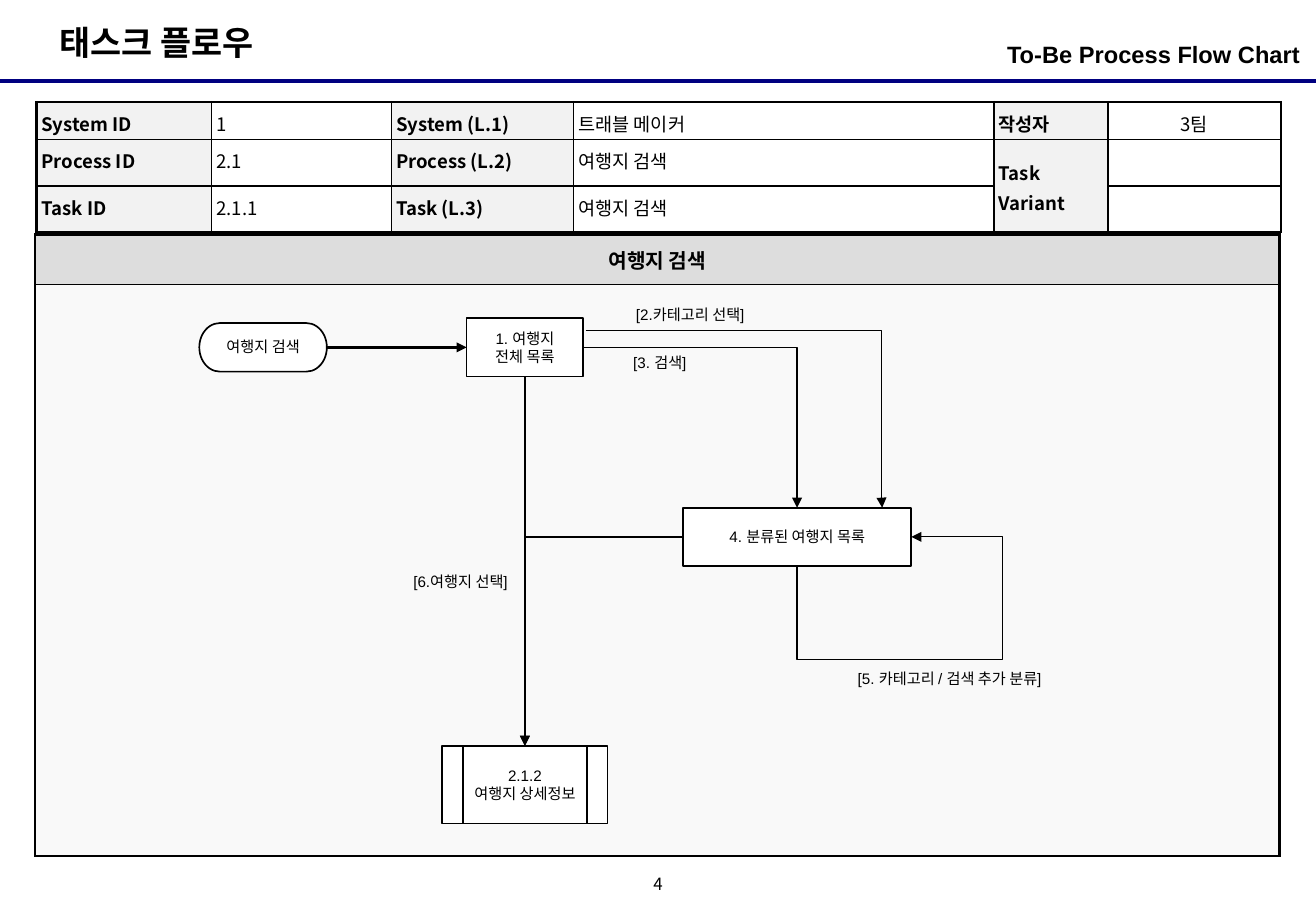
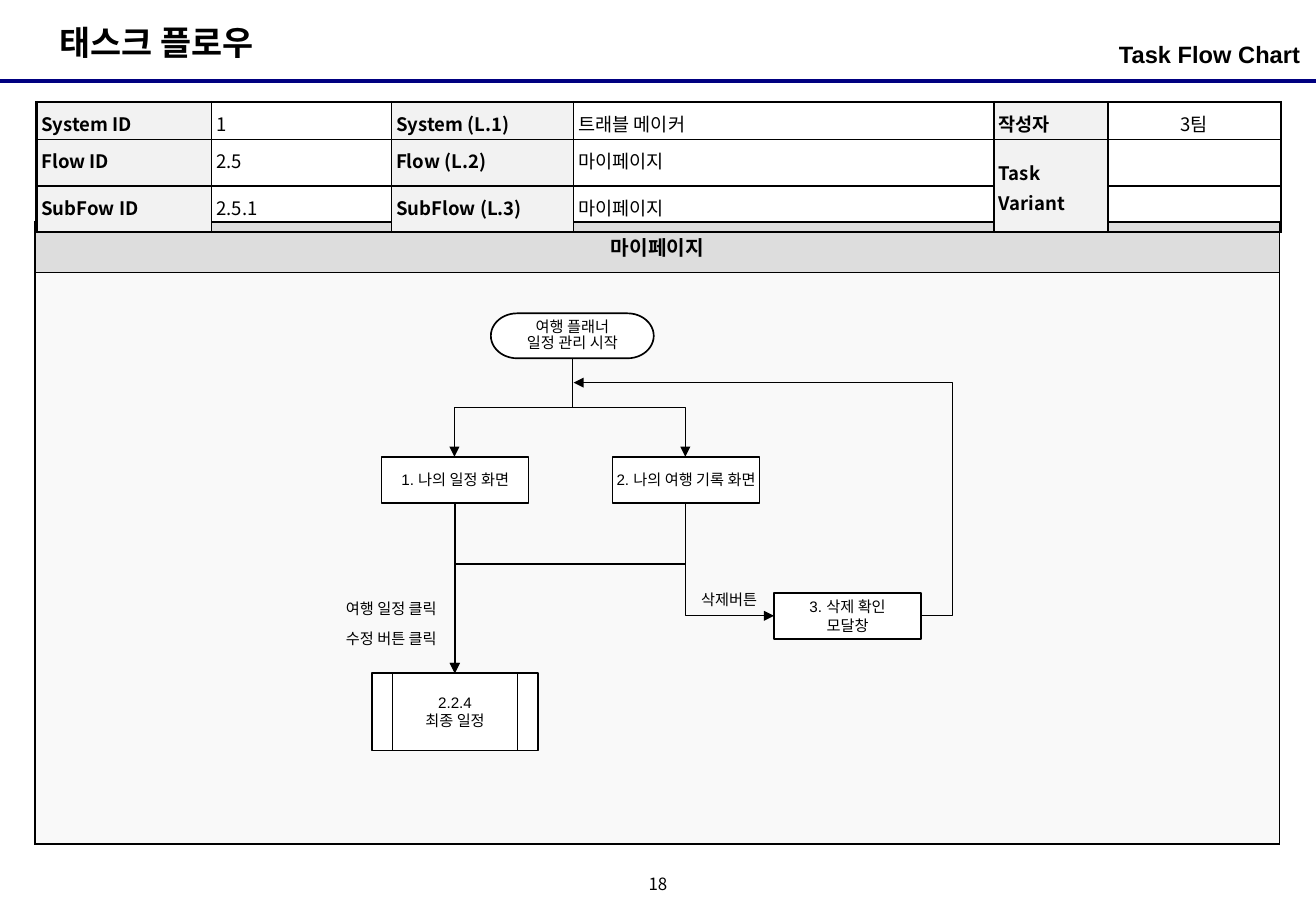
from lxml import etree
from pptx import Presentation
from pptx.dml.color import RGBColor
from pptx.enum.shapes import MSO_CONNECTOR, MSO_SHAPE
from pptx.enum.text import MSO_ANCHOR, MSO_AUTO_SIZE, PP_ALIGN
from pptx.oxml.ns import qn
from pptx.util import Inches, Pt

LEFT, CENTER, RIGHT = PP_ALIGN.LEFT, PP_ALIGN.CENTER, PP_ALIGN.RIGHT
TOP, MIDDLE = MSO_ANCHOR.TOP, MSO_ANCHOR.MIDDLE
STRAIGHT, ELBOW = MSO_CONNECTOR.STRAIGHT, MSO_CONNECTOR.ELBOW
RECT = MSO_SHAPE.RECTANGLE
TERMINATOR = MSO_SHAPE.FLOWCHART_TERMINATOR
PROCESS = MSO_SHAPE.FLOWCHART_PREDEFINED_PROCESS

BLACK, WHITE, NAVY = "000000", "FFFFFF", "000080"
LABEL_GREY, BAND_GREY, PANEL_GREY = "F2F2F2", "DDDDDD", "F9F9F9"
ARIAL, NOTO = "Arial", "Noto Sans CJK KR"
INFO_COLS = (1.44, 1.48, 1.5, 3.46, 0.94, 1.42)


def rgb(color):
    return RGBColor.from_string(color)


# ---- Text ----
def style_text(tf, size, font=ARIAL, bold=False, align=CENTER, anchor=MIDDLE,
               spacing=1.0):
    tf.vertical_anchor = anchor
    for p in tf.paragraphs:
        p.alignment = align
        p.line_spacing = spacing
        for r in p.runs:
            r.font.size = Pt(size)
            r.font.bold = bold
            r.font.color.rgb = rgb(BLACK)
            r.font.name = font
            ea = etree.SubElement(r.font._element, qn("a:ea"))
            ea.set("typeface", NOTO)


def set_margins(item, x, y):
    item.margin_left = item.margin_right = Inches(x)
    item.margin_top = item.margin_bottom = Inches(y)


def add_label(s, text, x, y, w, h=0.25, size=9, font=ARIAL, spacing=1.0):
    tf = s.shapes.add_textbox(Inches(x), Inches(y), Inches(w), Inches(h)).text_frame
    tf.word_wrap = True
    tf.text = text
    style_text(tf, size, font, spacing=spacing)


def fill_placeholder(sp, text, x, y, w, h, size, align, margin):
    sp.left, sp.top, sp.width, sp.height = (Inches(v) for v in (x, y, w, h))
    tf = sp.text_frame
    tf.text = text
    tf.auto_size = MSO_AUTO_SIZE.NONE
    set_margins(tf, margin, 0.05)
    style_text(tf, size, bold=True, align=align, anchor=TOP)
    p = tf.paragraphs[0]
    p.space_before = Pt(0)
    pPr = p._p.get_or_add_pPr()
    pPr.set("marL", "0")
    pPr.set("indent", "0")
    etree.SubElement(pPr, qn("a:buNone"))


# ---- Boxes and lines ----
def add_box(s, kind, text, x, y, w, h, spacing=1.0):
    sp = s.shapes.add_shape(kind, Inches(x), Inches(y), Inches(w), Inches(h))
    sp.shadow.inherit = False
    sp.fill.solid()
    sp.fill.fore_color.rgb = rgb(WHITE)
    sp.line.color.rgb = rgb(BLACK)
    sp.line.width = Pt(1)
    tf = sp.text_frame
    tf.word_wrap = True
    tf.text = text
    set_margins(tf, 0.02, 0)
    style_text(tf, 9, spacing=spacing)
    return sp


def add_line(s, start, end, kind=STRAIGHT, color=BLACK, width=0.75, arrow=True):
    c = s.shapes.add_connector(kind, *(Inches(v) for v in (*start, *end)))
    c.line.color.rgb = rgb(color)
    c.line.width = Pt(width)
    if arrow:
        etree.SubElement(c.line._get_or_add_ln(), qn("a:tailEnd")).set("type", "triangle")
    etree.SubElement(c._element.spPr, qn("a:effectLst"))
    return c


def join(s, a, a_side, b, b_side, width=0.75):
    c = add_line(s, (0, 0), (1, 1), width=width)
    c.begin_connect(a, a_side)
    c.end_connect(b, b_side)


def add_elbow(s, start, end, vertical=False, bends=2, adj=()):
    """Bent arrow; vertical tells whether it leaves its start up or down."""
    dx, dy = end[0] - start[0], end[1] - start[1]
    w, h, flip_v = abs(dx), abs(dy), False
    if vertical:
        w, h = h, w
        rot = 270 if dx > 0 else 90
        flip_h = (dy > 0) == (dx > 0)
    elif dx < 0 and dy < 0:
        rot, flip_h = 180, False
    else:
        rot, flip_h, flip_v = 0, dx < 0, dy < 0
    x, y = (start[0] + end[0] - w) / 2, (start[1] + end[1] - h) / 2
    xs = (x + w, x) if flip_h else (x, x + w)
    ys = (y + h, y) if flip_v else (y, y + h)
    c = add_line(s, (xs[0], ys[0]), (xs[1], ys[1]), ELBOW)
    spPr = c._element.spPr
    if rot:
        spPr.find(qn("a:xfrm")).set("rot", str(rot * 60000))
    geom = spPr.find(qn("a:prstGeom"))
    geom.set("prst", f"bentConnector{bends + 1}")
    guides = geom.find(qn("a:avLst"))
    for n, value in enumerate(adj, 1):
        gd = etree.SubElement(guides, qn("a:gd"))
        gd.set("name", f"adj{n}")
        gd.set("fmla", f"val {round(value * 100000)}")


# ---- Tables ----
def add_table(s, x, y, cols, rows):
    frame = s.shapes.add_table(len(rows), len(cols), Inches(x), Inches(y),
                               Inches(sum(cols)), Inches(sum(rows)))
    table = frame.table
    table.first_row = table.horz_banding = False
    for col, w in zip(table.columns, cols):
        col.width = Inches(w)
    for row, h in zip(table.rows, rows):
        row.height = Inches(h)
    return table


def style_cell(cell, fill, left, right, top, bottom):
    tcPr = cell._tc.get_or_add_tcPr()
    for side, width in zip("LRTB", (left, right, top, bottom)):
        ln = etree.SubElement(tcPr, qn(f"a:ln{side}"), w=str(Pt(width)))
        solid = etree.SubElement(ln, qn("a:solidFill"))
        etree.SubElement(solid, qn("a:srgbClr"), val=BLACK)
    if fill:
        cell.fill.solid()
        cell.fill.fore_color.rgb = rgb(fill)
    else:
        cell.fill.background()


def add_info_table(s, rows):
    table = add_table(s, 0.3, 0.84, INFO_COLS, [0.31] * 3)
    table.cell(1, 4).merge(table.cell(2, 4))
    for i, texts in enumerate(rows):
        for j, text in enumerate(texts):
            cell = table.cell(i, j)
            is_label = j % 2 == 0
            at_bottom = i == 2 or (i, j) == (1, 4)
            style_cell(cell, LABEL_GREY if is_label else None,
                       1.5 if j == 0 else 1, 1.5 if j == 5 else 1,
                       1.5 if i == 0 else 1, 1.5 if at_bottom else 1)
            set_margins(cell, 0.04, 0.04)
            cell.text = text
            style_text(cell.text_frame, 11, NOTO, is_label,
                       CENTER if j == 5 else LEFT, spacing=1.1)
            cell.vertical_anchor = MIDDLE if j >= 4 else TOP


def add_flow_panel(s, title, y, right):
    table = add_table(s, 0.29, y, [10.24], [0.41, 4.71])
    head, body = table.cell(0, 0), table.cell(1, 0)
    style_cell(head, BAND_GREY, 1.5, right, 1.5, 0.75)
    style_cell(body, PANEL_GREY, 1.5, right, 0.75, 1.5)
    head.text = title
    style_text(head.text_frame, 12, bold=True)
    head.vertical_anchor = MIDDLE


# ---- Shared frame of a slide ----
def new_slide(prs, chart_name, number):
    s = prs.slides.add_slide(prs.slide_layouts[1])
    add_line(s, (0, 0.67), (10.83, 0.67), color=NAVY, width=2.25, arrow=False)
    title, body = s.placeholders
    fill_placeholder(title, "태스크 플로우", 0.39, 0.13, 1.98, 0.44, 20, LEFT, 0.1)
    fill_placeholder(body, chart_name, 7.39, 0.28, 3.31, 0.39, 14, RIGHT, 0)
    add_label(s, number, 5.2, 7.15, 0.43, 0.28, 10, NOTO, 0.8)
    return s


def info_rows(names, ids, topic):
    flow, sub = names
    return [
        ("System ID", "1", "System (L.1)", "트래블 메이커", "작성자", "3팀"),
        (f"{flow} ID", ids[0], f"{flow} (L.2)", topic, "Task Variant", ""),
        (f"{sub[0]} ID", ids[1], f"{sub[1]} (L.3)", topic, "", ""),
    ]


# ---- Slides ----
def build_search_slide(prs):
    s = new_slide(prs, "To-Be Process Flow Chart", "4")
    add_flow_panel(s, "여행지 검색", 1.93, 1.5)
    add_info_table(s, info_rows(("Process", ("Task", "Task")), ("2.1", "2.1.1"),
                                "여행지 검색"))

    start = add_box(s, TERMINATOR, "여행지 검색", 1.64, 2.66, 1.05, 0.4, 0.9)
    full_list = add_box(s, RECT, "1. 여행지\n전체 목록", 3.84, 2.62, 0.96, 0.48)
    add_box(s, RECT, "4. 분류된 여행지 목록", 5.62, 4.18, 1.88, 0.48)
    detail = add_box(s, PROCESS, "2.1.2\n여행지 상세정보", 3.64, 6.14, 1.36, 0.64)

    join(s, start, 3, full_list, 1, 1.5)
    join(s, full_list, 2, detail, 0)
    add_elbow(s, (4.8, 2.86), (6.56, 4.18), bends=1)
    add_elbow(s, (4.82, 2.72), (7.26, 4.18), adj=[0.998])
    add_elbow(s, (5.62, 4.42), (4.32, 6.14), bends=1)
    add_elbow(s, (6.56, 4.66), (7.5, 4.42), True, 3, (-3.21, 1.8))

    for text, x, y, w in (("[2.카테고리 선택]", 4.9, 2.46, 1.56),
                          ("[3. 검색]", 4.65, 2.86, 1.56),
                          ("[6.여행지 선택]", 3.01, 4.66, 1.56),
                          ("[5. 카테고리 / 검색 추가 분류]", 6.7, 5.46, 2.23)):
        add_label(s, text, x, y, w)


def build_my_page_slide(prs):
    s = new_slide(prs, "Task Flow Chart", "18")
    add_flow_panel(s, "마이페이지", 1.83, 0.75)
    add_info_table(s, info_rows(("Flow", ("SubFow", "SubFlow")), ("2.5", "2.5.1"),
                                "마이페이지"))

    add_box(s, TERMINATOR, "여행 플래너\n일정 관리 시작", 4.04, 2.58, 1.34, 0.37, 0.9)
    schedule = add_box(s, RECT, "1. 나의 일정 화면", 3.14, 3.76, 1.21, 0.38)
    add_box(s, RECT, "2. 나의 여행 기록 화면", 5.04, 3.76, 1.21, 0.38)
    add_box(s, RECT, "3. 삭제 확인\n모달창", 6.37, 4.88, 1.21, 0.38)
    final = add_box(s, PROCESS, "2.2.4\n최종 일정", 3.06, 5.54, 1.37, 0.64)

    join(s, schedule, 2, final, 0)
    for x in (3.74, 5.64):
        add_elbow(s, (4.71, 2.95), (x, 3.76), True, adj=[0.5])
    add_elbow(s, (5.64, 4.14), (3.74, 5.54), True, adj=[0.36])
    add_elbow(s, (5.64, 4.14), (6.37, 5.07), True, 1)
    add_elbow(s, (7.58, 5.07), (4.72, 3.15), adj=[-0.09])

    for text, x, y, w in (("여행 일정 클릭", 2.68, 4.88, 1.08),
                          ("수정 버튼 클릭", 2.68, 5.13, 1.08),
                          ("삭제버튼", 5.63, 4.81, 0.74)):
        add_label(s, text, x, y, w)


def main():
    prs = Presentation()
    prs.slide_width, prs.slide_height = Inches(10.83), Inches(7.5)
    build_search_slide(prs)
    build_my_page_slide(prs)
    prs.save("out.pptx")


if __name__ == "__main__":
    main()
